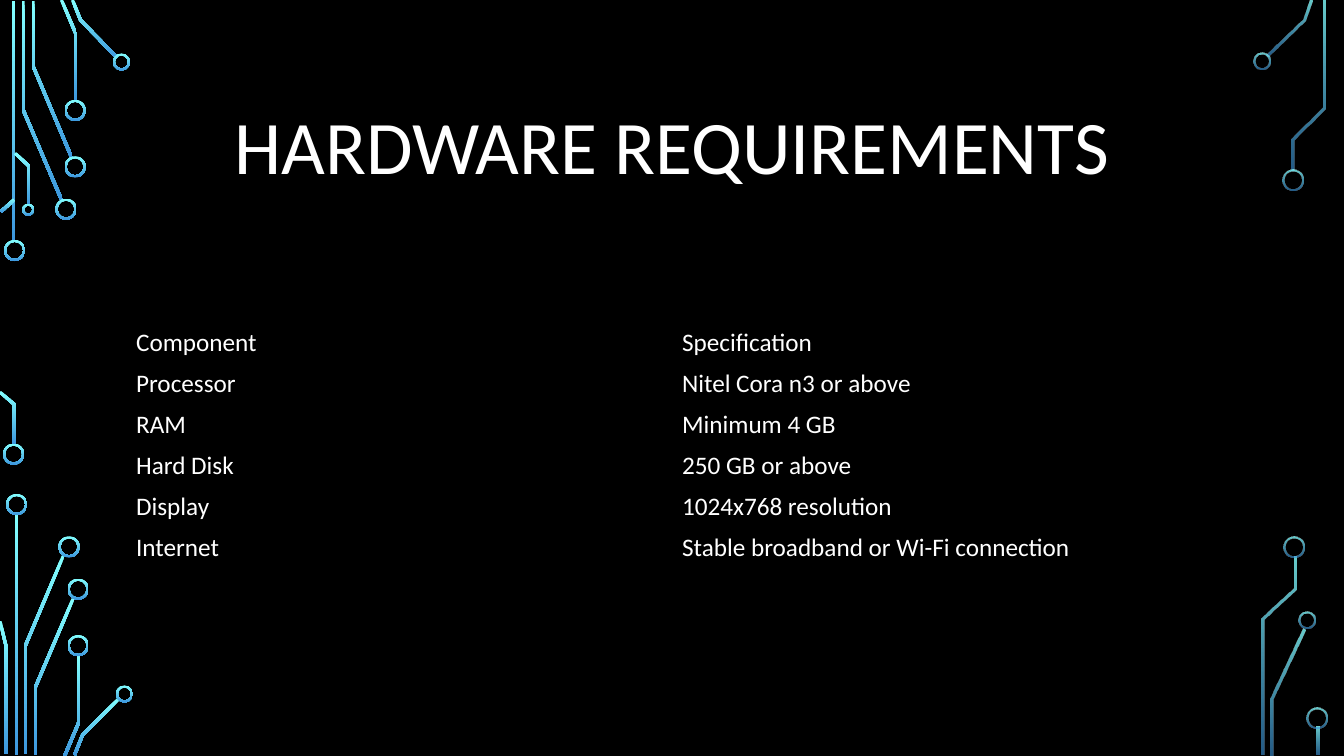
from dataclasses import dataclass
from itertools import pairwise

from lxml.etree import SubElement
from pptx import Presentation
from pptx.dml.color import RGBColor
from pptx.enum.shapes import MSO_SHAPE
from pptx.enum.text import MSO_ANCHOR, PP_ALIGN
from pptx.oxml.ns import qn
from pptx.util import Inches, Pt


@dataclass(frozen=True)
class Theme:
    """Colours, type and line sizes of the slide."""

    back: RGBColor = RGBColor(0, 0, 0)
    text: RGBColor = RGBColor(255, 255, 255)
    glow: tuple = (RGBColor(0x82, 0xFF, 0xFF), RGBColor(0x3D, 0x97, 0xDE))
    font: str = "Calibri"
    head: int = 54
    body: int = 18
    wire: float = 0.03
    rim: float = 0.02


THEME = Theme()
BRIGHT = (100, 100)
FADED = (80, 60)

LEFT_BARS = [(0.12, 0.01, 2.39), (0.15, 5.1, 2.39)]
LEFT_WIRES = [
    [(0.23, 0.01), (0.23, 1.09), (0.61, 1.98)],
    [(0.33, 0.01), (0.33, 0.66), (0.71, 1.56)],
    [(0.61, 0), (0.75, 0.33), (0.75, 1)],
    [(0.72, 0), (0.8, 0.2), (1.16, 0.57)],
    [(0.14, 1.98), (0.01, 2.1)],
    [(0, 3.89), (0.14, 4.01), (0.14, 4.41)],
    [(0.15, 1.52), (0.29, 1.65), (0.29, 2.03)],
    [(0.25, 7.48), (0.25, 6.41), (0.63, 5.51)],
    [(0, 6.16), (0.06, 6.41), (0.06, 7.48)],
    [(0.35, 7.49), (0.35, 6.82), (0.73, 5.93)],
    [(0.64, 7.5), (0.78, 7.17), (0.78, 6.5)],
    [(0.74, 7.49), (0.82, 7.29), (1.18, 6.93)],
]
LEFT_RINGS = {
    0.21: [(0.04, 2.38), (0.03, 4.4), (0.55, 1.97), (0.64, 1.55), (0.64, 0.99),
           (0.06, 4.9), (0.58, 5.32), (0.67, 5.74), (0.67, 6.3)],
    0.17: [(1.12, 0.53), (1.15, 6.8)],
    0.12: [(0.22, 2.02)],
}

RIGHT_BARS = [(13.06, 7.21, 0.28)]
RIGHT_WIRES = [
    [(13, 0), (12.93, 0.2), (12.57, 0.55)],
    [(12.62, 7.49), (12.62, 6.93), (12.93, 6.24)],
    [(13.13, 0.01), (13.13, 1.07), (12.82, 1.38), (12.82, 1.69)],
    [(12.84, 5.52), (12.84, 5.84), (12.53, 6.14), (12.53, 7.49)],
]
RIGHT_RINGS = {
    0.21: [(12.72, 1.68), (12.73, 5.32), (12.96, 7.02)],
    0.17: [(12.43, 0.52), (12.88, 6.07)],
}

ROWS = [
    ("Component", "Specification"),
    ("Processor", "Nitel Cora n3 or above"),
    ("RAM", "Minimum 4 GB"),
    ("Hard Disk", "250 GB or above"),
    ("Display", "1024x768 resolution"),
    ("Internet", "Stable broadband or Wi-Fi connection"),
]


def paint(shape, alphas):
    """Give a shape the downward glow, with no line or shadow."""
    shape.shadow.inherit = False
    shape.line.fill.background()
    shape.fill.gradient()
    shape.fill.gradient_angle = 270
    for stop, tone in zip(shape.fill.gradient_stops, THEME.glow):
        stop.color.rgb = tone
    tones = shape._element.spPr.iter(qn("a:srgbClr"))
    for tone, alpha in zip(tones, alphas):
        if alpha < 100:
            SubElement(tone, qn("a:alpha"), val=str(alpha * 1000))


def outline(points):
    """Return the corners of an even band along a bent line."""
    spots = [complex(*point) for point in points]
    norms = [1j * (b - a) / abs(b - a) for a, b in pairwise(spots)]
    joints = pairwise([norms[0], *norms, norms[-1]])
    shifts = [(a + b) / (1 + (a * b.conjugate()).real) * THEME.wire / 2
              for a, b in joints]
    near = [spot + shift for spot, shift in zip(spots, shifts)]
    far = [spot - shift for spot, shift in zip(spots, shifts)]
    return [(Inches(c.real), Inches(c.imag)) for c in near + far[::-1]]


def add_wire(slide, points, alphas):
    """Draw one bent wire."""
    first, *rest = outline(points)
    pen = slide.shapes.build_freeform(*first)
    pen.add_line_segments(rest, close=True)
    paint(pen.convert_to_shape(), alphas)


def add_bar(slide, left, top, height, alphas):
    """Draw one upright wire."""
    box = map(Inches, (left, top, THEME.wire, height))
    paint(slide.shapes.add_shape(MSO_SHAPE.RECTANGLE, *box), alphas)


def add_ring(slide, left, top, size, alphas):
    """Draw the round end of a wire."""
    box = map(Inches, (left, top, size, size))
    ring = slide.shapes.add_shape(MSO_SHAPE.DONUT, *box)
    ring.adjustments[0] = THEME.rim / size
    paint(ring, alphas)


def add_board(slide, bars, wires, rings, alphas):
    """Draw the circuit on one side."""
    for bar in bars:
        add_bar(slide, *bar, alphas)
    for points in wires:
        add_wire(slide, points, alphas)
    for size, spots in rings.items():
        for left, top in spots:
            add_ring(slide, left, top, size, alphas)


def add_text(line, text, size):
    """Add one run in the theme type."""
    run = line.add_run()
    run.text = text
    run.font.name = THEME.font
    run.font.size = Pt(size)
    run.font.bold = False
    run.font.color.rgb = THEME.text


def set_title(slide, text):
    """Place and fill the title."""
    title = slide.shapes.title
    title.left, title.top = Inches(1.25), Inches(0.68)
    title.width, title.height = Inches(10.83), Inches(1.62)
    frame = title.text_frame
    frame.word_wrap = True
    frame.vertical_anchor = MSO_ANCHOR.MIDDLE
    line = frame.paragraphs[0]
    line.alignment = PP_ALIGN.CENTER
    line.line_spacing = 0.9
    add_text(line, text, THEME.head)


def fill_cell(cell, text):
    """Write a clear cell without borders."""
    props = cell._tc.get_or_add_tcPr()
    for side in "LRTB":
        SubElement(SubElement(props, qn(f"a:ln{side}")), qn("a:noFill"))
    cell.fill.background()
    cell.vertical_anchor = MSO_ANCHOR.MIDDLE
    add_text(cell.text_frame.paragraphs[0], text, THEME.body)


def add_grid(slide, rows):
    """Add the table of parts."""
    box = map(Inches, (1.25, 3.2, 10.83, 0.4 * len(rows)))
    grid = slide.shapes.add_table(len(rows), len(rows[0]), *box).table
    grid.first_row = grid.horz_banding = False
    for r, row in enumerate(rows):
        for c, text in enumerate(row):
            fill_cell(grid.cell(r, c), text)


def main():
    """Build and save the slide."""
    deck = Presentation()
    deck.slide_width, deck.slide_height = Inches(13.33), Inches(7.5)
    slide = deck.slides.add_slide(deck.slide_layouts[5])
    slide.background.fill.solid()
    slide.background.fill.fore_color.rgb = THEME.back
    add_board(slide, LEFT_BARS, LEFT_WIRES, LEFT_RINGS, BRIGHT)
    add_board(slide, RIGHT_BARS, RIGHT_WIRES, RIGHT_RINGS, FADED)
    set_title(slide, "HARDWARE REQUIREMENTS")
    add_grid(slide, ROWS)
    deck.save("out.pptx")


if __name__ == "__main__":
    main()
